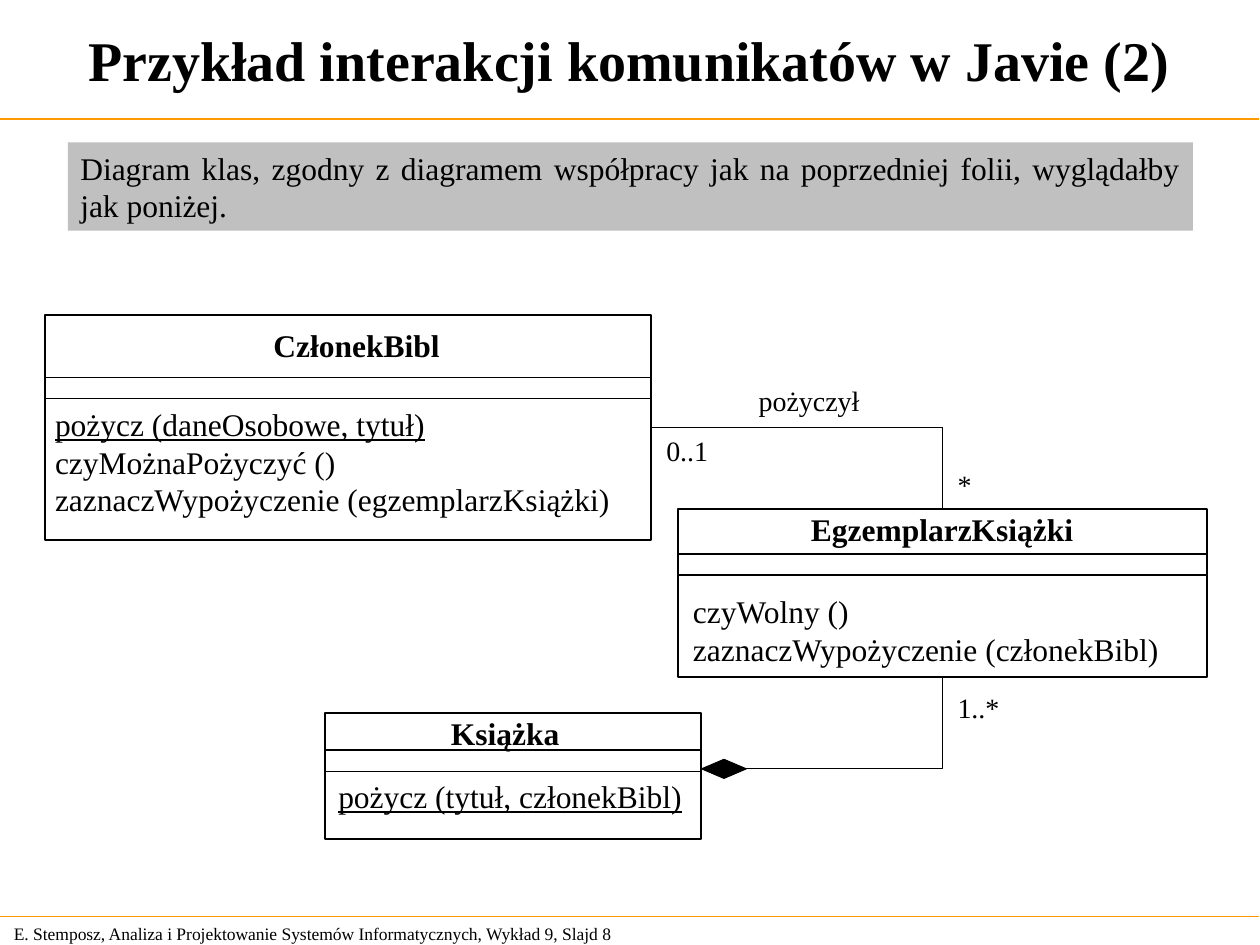
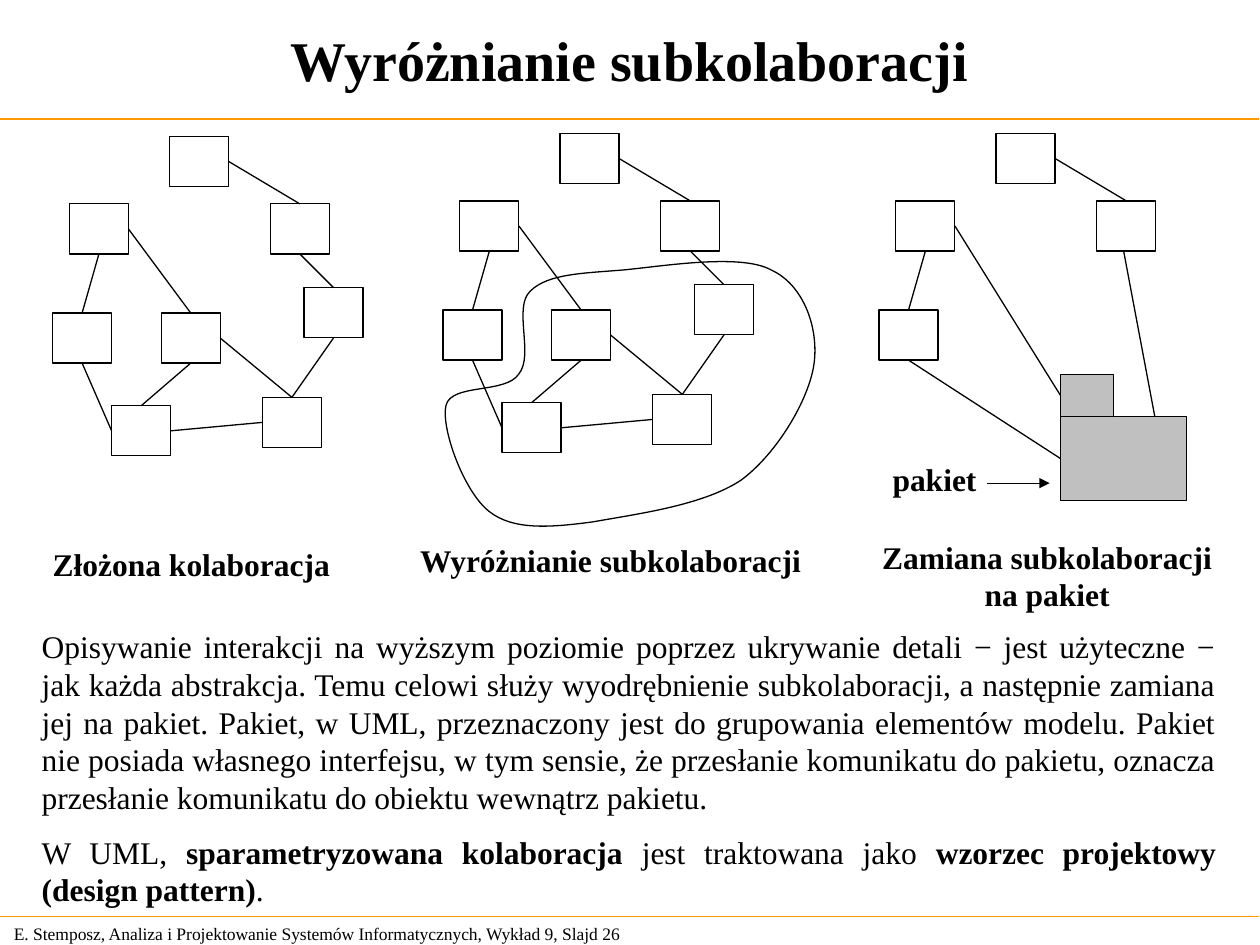
from lxml import etree
from pptx import Presentation
from pptx.dml.color import RGBColor
from pptx.enum.shapes import MSO_CONNECTOR, MSO_SHAPE
from pptx.enum.text import MSO_ANCHOR, MSO_AUTO_SIZE, PP_ALIGN
from pptx.oxml.ns import qn
from pptx.util import Cm, Pt

STRAIGHT, ELBOW = MSO_CONNECTOR.STRAIGHT, MSO_CONNECTOR.ELBOW
RECT, DIAMOND = MSO_SHAPE.RECTANGLE, MSO_SHAPE.DIAMOND
LEFT, CENTER, JUSTIFY = PP_ALIGN.LEFT, PP_ALIGN.CENTER, PP_ALIGN.JUSTIFY
TOP, MIDDLE = MSO_ANCHOR.TOP, MSO_ANCHOR.MIDDLE
NO_AUTOFIT = MSO_AUTO_SIZE.NONE

COLORS = {"ink": "000000", "rule": "FF9900", "gray": "C0C0C0"}
FONT = "Times New Roman"
FOOTER = "E. Stemposz, Analiza i Projektowanie Systemów Informatycznych, Wykład 9, Slajd {}"
BOLD = {"bold": True}
UNDERLINED = {"underline": True}

# Connection sites of a rectangle
SITE_TOP, SITE_LEFT, SITE_BOTTOM, SITE_RIGHT = range(4)

OBJECT_SIZE = (1.19, 1.01)
OBJECTS = {
    "top": (3.42, 2.75),
    "upper left": (1.4, 4.11),
    "upper right": (5.45, 4.11),
    "left": (1.06, 6.31),
    "middle": (3.25, 6.31),
    "right": (6.13, 5.8),
    "lower left": (2.25, 8.18),
    "lower right": (5.29, 8.01),
}
LINKS = [
    ("top", SITE_RIGHT, "upper right", SITE_TOP),
    ("upper right", SITE_BOTTOM, "right", SITE_TOP),
    ("upper left", SITE_BOTTOM, "left", SITE_TOP),
    ("upper left", SITE_RIGHT, "middle", SITE_TOP),
    ("left", SITE_BOTTOM, "lower left", SITE_LEFT),
    ("middle", SITE_BOTTOM, "lower left", SITE_TOP),
    ("middle", SITE_RIGHT, "lower right", SITE_TOP),
    ("right", SITE_BOTTOM, "lower right", SITE_TOP),
    ("lower left", SITE_RIGHT, "lower right", SITE_LEFT),
]
OUTSIDE_PACKAGE = ("top", "upper left", "upper right", "left")

# Start point, then two control points and an end point per curve
SUBCOLLABORATION_START = (9.86, 10.31)
SUBCOLLABORATION_CURVES = [
    ((9.35, 9.91), (8.89, 8.64), (8.99, 8.18)),
    ((9.09, 7.72), (10.19, 7.95), (10.46, 7.54)),
    ((10.77, 7.16), (10.34, 6.2), (10.69, 5.87)),
    ((11.05, 5.51), (11.79, 5.51), (12.6, 5.44)),
    ((13.41, 5.36), (14.94, 5.11), (15.54, 5.44)),
    ((16.21, 5.74), (16.51, 6.63), (16.41, 7.34)),
    ((16.31, 8.05), (15.67, 9.14), (14.94, 9.68)),
    ((14.17, 10.19), (12.85, 10.36), (11.96, 10.52)),
    ((11.07, 10.64), (10.34, 10.69), SUBCOLLABORATION_START),
]


def rgb(name):
    return RGBColor.from_string(COLORS[name])


def write(frame, paragraphs, size=18, bold=False, align=LEFT, anchor=TOP,
          wrap=False, gap=0):
    """Fill a frame; a paragraph is a string or a list of (text, format) runs."""
    frame.word_wrap, frame.auto_size, frame.vertical_anchor = wrap, NO_AUTOFIT, anchor
    frame.margin_left = frame.margin_right = Cm(0.25)
    frame.margin_top = frame.margin_bottom = Cm(0.13)
    for index, runs in enumerate(paragraphs):
        paragraph = frame.add_paragraph() if index else frame.paragraphs[0]
        paragraph.alignment = align
        if index:
            paragraph.space_before = Pt(gap)
        for text, style in [(runs, {})] if isinstance(runs, str) else runs:
            run = paragraph.add_run()
            run.text = text
            font = run.font
            font.name, font.size, font.color.rgb = FONT, Pt(size), rgb("ink")
            font.bold = style.get("bold", bold)
            font.underline = style.get("underline", False)


class Deck:
    def __init__(self):
        self.presentation = Presentation()
        self.presentation.slide_width = Cm(25.4)
        self.presentation.slide_height = Cm(19.05)
        self.slide = None

    def start_slide(self, title, number):
        layout = self.presentation.slide_layouts[5]
        self.slide = self.presentation.slides.add_slide(layout)
        heading = self.slide.shapes.title
        heading.left, heading.top, heading.width, heading.height = map(
            Cm, (0, 0.03, 25.38, 2.31))
        write(heading.text_frame, [title], size=32, bold=True, align=CENTER,
              anchor=MIDDLE, wrap=True)
        for y in (2.4, 18.48):
            self.line((-0.03, y), (25.37, y), color="rule")
        self.text([FOOTER.format(number)], 0.03, 18.47, 13.31, 0.69,
                  size=10, anchor=MIDDLE)

    def text(self, paragraphs, left, top, width, height, **style):
        box = self.slide.shapes.add_textbox(*map(Cm, (left, top, width, height)))
        write(box.text_frame, paragraphs, **style)

    def outline(self, shape, fill, weight):
        shape.shadow.inherit = False
        if fill:
            shape.fill.solid()
            shape.fill.fore_color.rgb = rgb(fill)
        else:
            shape.fill.background()
        if weight:
            shape.line.color.rgb = rgb("ink")
            shape.line.width = Pt(weight)
        else:
            shape.line.fill.background()

    def box(self, left, top, width, height, kind=RECT, fill=None, weight=0.75):
        shape = self.slide.shapes.add_shape(kind, *map(Cm, (left, top, width, height)))
        self.outline(shape, fill, weight)
        return shape

    def line(self, start=(0, 0), end=(0, 0), color="ink", bent=False, arrow=False):
        connector = self.slide.shapes.add_connector(
            ELBOW if bent else STRAIGHT, *map(Cm, start + end))
        connector.line.color.rgb = rgb(color)
        connector.line.width = Pt(0.75)
        properties = connector._element.spPr
        if bent:
            properties.find(qn("a:prstGeom")).set("prst", "bentConnector2")
        if arrow:
            etree.SubElement(properties.find(qn("a:ln")), qn("a:tailEnd"), type="triangle")
        etree.SubElement(properties, qn("a:effectLst"))
        return connector

    def link(self, source, source_site, target, target_site):
        connector = self.line()
        connector.begin_connect(source, source_site)
        connector.end_connect(target, target_site)

    def curve(self, start, curves):
        """Draw a polygon through all points, then turn each three sides into a curve."""
        builder = self.slide.shapes.build_freeform(*map(Cm, start))
        builder.add_line_segments(
            [(Cm(x), Cm(y)) for points in curves for x, y in points], close=True)
        shape = builder.convert_to_shape()
        self.outline(shape, None, 0.75)
        sides = list(shape._element.iter(qn("a:lnTo")))
        for index in range(0, len(sides), 3):
            cubic = etree.Element(qn("a:cubicBezTo"))
            sides[index].addprevious(cubic)
            for side in sides[index:index + 3]:
                cubic.append(side[0])
                side.getparent().remove(side)

    def uml_class(self, name, frame, name_area, dividers, operations, operations_area):
        left, _, width, _ = frame
        self.box(*frame, weight=1)
        for y in dividers:
            self.line((left, y), (left + width, y))
        self.text([name], *name_area, bold=True, align=CENTER)
        self.text(operations, *operations_area)

    def collaboration(self, dx, dy, names=tuple(OBJECTS)):
        """Draw the named objects and the links between them, and return the objects."""
        objects = {
            name: self.box(OBJECTS[name][0] + dx, OBJECTS[name][1] + dy, *OBJECT_SIZE)
            for name in names
        }
        for source, source_site, target, target_site in LINKS:
            if source in objects and target in objects:
                self.link(objects[source], source_site, objects[target], target_site)
        return objects


def class_diagram(deck):
    deck.start_slide("Przykład interakcji komunikatów w Javie (2)", 8)
    introduction = deck.box(1.37, 2.87, 22.68, 1.78, fill="gray", weight=0)
    write(introduction.text_frame,
          ["Diagram klas, zgodny z diagramem współpracy jak na poprzedniej folii, "
           "wyglądałby jak poniżej."], align=JUSTIFY, anchor=MIDDLE, wrap=True)

    deck.uml_class(
        "CzłonekBibl", (0.91, 6.35, 12.22, 4.54), (5.26, 6.45, 3.86, 1.02), (7.61, 8.04),
        [[("pożycz (daneOsobowe, tytuł)", UNDERLINED)],
         "czyMożnaPożyczyć ()",
         "zaznaczWypożyczenie (egzemplarzKsiążki)"],
        (0.86, 8.03, 11.73, 2.54))
    deck.uml_class(
        "EgzemplarzKsiążki", (13.67, 10.26, 10.67, 3.39), (16.1, 10.16, 5.79, 1.02),
        (11.17, 11.59),
        ["czyWolny ()", "zaznaczWypożyczenie (członekBibl)"],
        (13.72, 11.8, 10.31, 1.78))
    deck.uml_class(
        "Książka", (6.56, 14.38, 7.57, 2.53), (8.84, 14.27, 2.69, 1.02), (15.12, 15.55),
        [[("pożycz (tytuł, członekBibl)", UNDERLINED)]],
        (6.57, 15.53, 7.44, 1.02))

    deck.line((13.13, 8.62), (19, 10.26), bent=True)
    deck.line((15.01, 15.5), (19, 13.64), bent=True)
    deck.box(14.15, 15.31, 0.89, 0.38, kind=DIAMOND, fill="ink")
    for label, left, top, width in (
        ("pożyczył", 15.04, 7.61, 2.54),
        ("0..1", 13.18, 8.61, 1.35),
        ("*", 19.05, 9.3, 0.79),
        ("1..*", 19.05, 13.79, 1.35),
    ):
        deck.text([label], left, top, width, 0.94, size=16, align=CENTER)


def subcollaborations(deck):
    deck.start_slide("Wyróżnianie subkolaboracji", 26)
    deck.collaboration(0, 0)
    deck.collaboration(7.87, -0.06)
    deck.curve(SUBCOLLABORATION_START, SUBCOLLABORATION_CURVES)

    objects = deck.collaboration(16.66, -0.06, OUTSIDE_PACKAGE)
    package = deck.box(21.38, 8.4, 2.54, 1.69, fill="gray")
    package_tab = deck.box(21.38, 7.55, 1.07, 0.85, fill="gray")
    deck.link(objects["left"], SITE_BOTTOM, package, SITE_LEFT)
    deck.link(objects["upper left"], SITE_RIGHT, package_tab, SITE_LEFT)
    deck.line((22.65, 5.05), (23.28, 8.4))
    deck.line((19.89, 9.74), (21.16, 9.74), arrow=True)

    for caption, left, top, width, height in (
        (["pakiet"], 17.75, 9.14, 2.18, 1.02),
        (["Złożona kolaboracja"], 0.81, 10.85, 6.1, 1.02),
        (["Wyróżnianie subkolaboracji"], 8.21, 10.77, 8.2, 1.02),
        (["Zamiana subkolaboracji", "na pakiet"], 17.53, 10.71, 7.16, 1.78),
    ):
        deck.text(caption, left, top, width, height, bold=True, align=CENTER)

    deck.text(
        ["Opisywanie interakcji na wyższym poziomie poprzez ukrywanie detali − jest "
         "użyteczne − jak każda abstrakcja. Temu celowi służy wyodrębnienie "
         "subkolaboracji, a następnie zamiana jej na pakiet. Pakiet, w UML, "
         "przeznaczony jest do grupowania elementów modelu. Pakiet nie posiada "
         "własnego interfejsu, w tym sensie, że przesłanie komunikatu do pakietu, "
         "oznacza przesłanie komunikatu do obiektu wewnątrz pakietu.",
         [("W UML, ", {}), ("sparametryzowana kolaboracja ", BOLD),
          ("jest traktowana jako", {}),
          (" wzorzec projektowy (design pattern)", BOLD), (".", {})]],
        0.59, 12.51, 24.18, 5.94, align=JUSTIFY, wrap=True, gap=9.5)


def main():
    deck = Deck()
    class_diagram(deck)
    subcollaborations(deck)
    deck.presentation.save("out.pptx")


if __name__ == "__main__":
    main()
